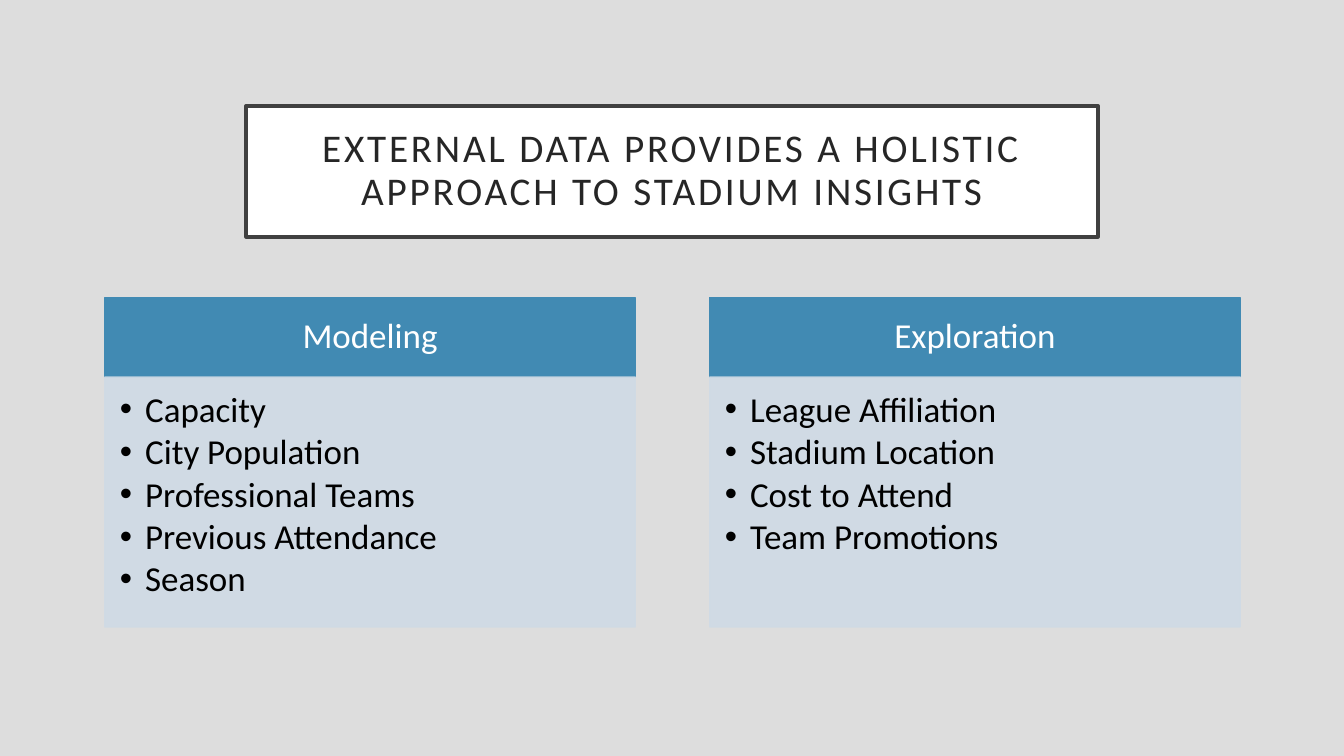
from lxml.etree import SubElement
from pptx import Presentation
from pptx.dml.color import RGBColor
from pptx.enum.shapes import MSO_SHAPE as Shape
from pptx.enum.text import MSO_ANCHOR as Anchor, PP_ALIGN as Align
from pptx.oxml.ns import qn
from pptx.util import Inches, Pt

TITLE = "EXTERNAL DATA PROVIDES A HOLISTIC APPROACH TO STADIUM INSIGHTS"
COLUMNS = [
    ("Modeling", ["Capacity", "City Population", "Professional Teams",
                  "Previous Attendance", "Season"]),
    ("Exploration", ["League Affiliation", "Stadium Location",
                     "Cost to Attend", "Team Promotions"]),
]

THEME = {
    "font": "Calibri", "title_size": 28, "body_size": 25,
    "background": "DDDDDD", "title_fill": "FFFFFF", "title_line": "404040",
    "title_text": "262626", "header_fill": "418AB3", "header_text": "FFFFFF",
    "list_fill": "CFDAE5", "list_text": "000000", "list_opacity": 90,
}

COLUMN_LEFT, COLUMN_WIDTH, COLUMN_PITCH = 1.04, 5.26, 6.0
HEADER_TOP, HEADER_HEIGHT, LIST_HEIGHT = 2.95, 0.79, 2.48


def color(name):
    return RGBColor.from_string(THEME[name])


def add_box(slide, box, fill, line, line_width, insets, anchor):
    shape = slide.shapes.add_shape(Shape.RECTANGLE, *map(Inches, box))
    shape.shadow.inherit = False
    shape.fill.solid()
    shape.fill.fore_color.rgb = color(fill)
    shape.line.color.rgb = color(line)
    shape.line.width = Pt(line_width)
    frame = shape.text_frame
    frame.word_wrap = True
    frame.vertical_anchor = anchor
    (frame.margin_left, frame.margin_top,
     frame.margin_right, frame.margin_bottom) = map(Inches, insets)
    return shape


def write(shape, text, text_color, size, align):
    frame = shape.text_frame
    frame.text = text
    for paragraph in frame.paragraphs:
        paragraph.alignment = align
        paragraph.line_spacing = 0.9
        for run in paragraph.runs:
            run.font.name = THEME["font"]
            run.font.size = Pt(THEME[size])
            run.font.color.rgb = color(text_color)


def set_opacity(shape, percent):
    """Apply one opacity to both the fill and the outline."""
    for rgb in shape.element.spPr.iter(qn("a:srgbClr")):
        SubElement(rgb, qn("a:alpha"), val=str(percent * 1000))


def add_bullet(paragraph):
    properties = paragraph._p.get_or_add_pPr()
    properties.set("marL", str(Inches(0.25)))
    properties.set("indent", str(-Inches(0.25)))
    SubElement(properties, qn("a:buFont"), typeface="Arial")
    SubElement(properties, qn("a:buChar"), char="•")


def add_title(slide):
    shape = add_box(slide, (2.44, 1.05, 8.45, 1.3), "title_fill", "title_line",
                    2.5, (0.2, 0.2, 0.2, 0.2), Anchor.MIDDLE)
    write(shape, TITLE, "title_text", "title_size", Align.CENTER)
    for run in shape.text_frame.paragraphs[0].runs:
        run.font._element.set("spc", "200")


def add_column(slide, left, heading, items):
    header = add_box(slide, (left, HEADER_TOP, COLUMN_WIDTH, HEADER_HEIGHT),
                     "header_fill", "header_fill", 1,
                     (0.19, 0.11, 0.19, 0.11), Anchor.MIDDLE)
    write(header, heading, "header_text", "body_size", Align.CENTER)

    list_top = HEADER_TOP + HEADER_HEIGHT
    item_list = add_box(slide, (left, list_top, COLUMN_WIDTH, LIST_HEIGHT),
                        "list_fill", "list_fill", 1,
                        (0.15, 0.15, 0.19, 0.22), Anchor.TOP)
    set_opacity(item_list, THEME["list_opacity"])
    write(item_list, "\n".join(items), "list_text", "body_size", Align.LEFT)
    for paragraph in item_list.text_frame.paragraphs:
        paragraph.space_after = Pt(3.3)
        add_bullet(paragraph)


def main():
    presentation = Presentation()
    presentation.slide_width = Inches(13.33)
    presentation.slide_height = Inches(7.5)
    slide = presentation.slides.add_slide(presentation.slide_layouts[6])
    slide.background.fill.solid()
    slide.background.fill.fore_color.rgb = color("background")
    add_title(slide)
    for index, (heading, items) in enumerate(COLUMNS):
        add_column(slide, COLUMN_LEFT + index * COLUMN_PITCH, heading, items)
    presentation.save("out.pptx")


if __name__ == "__main__":
    main()
